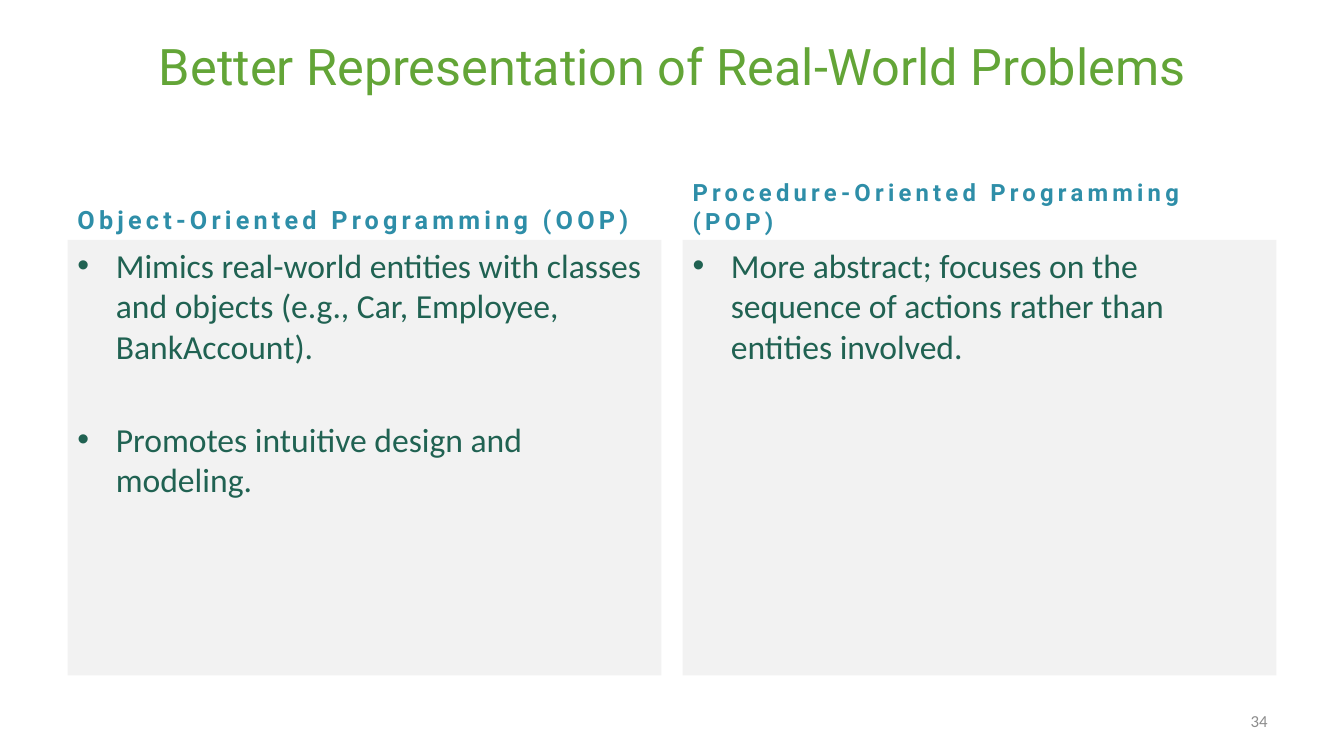
"""Build a slide comparing object-oriented and procedure-oriented programming."""
import pptx
import pptx.util
import pptx.dml.color
import pptx.enum.text
import pptx.enum.shapes
import lxml.etree

Inches, Pt = pptx.util.Inches, pptx.util.Pt
Align, Anchor = pptx.enum.text.PP_ALIGN, pptx.enum.text.MSO_ANCHOR


def tint(code):
    return pptx.dml.color.RGBColor.from_string(code)


def write(*lines, at, size, color, font="Calibri", bold=False, align=Align.LEFT,
          anchor=Anchor.TOP, track=0, bullet=False, gap=0, fill=None):
    place = [Inches(side) for side in at]
    if fill:
        box = slide.shapes.add_shape(pptx.enum.shapes.MSO_SHAPE.RECTANGLE, *place)
        box.shadow.inherit = False
        box.fill.solid()
        box.fill.fore_color.rgb = tint(fill)
        box.line.fill.background()
    else:
        box = slide.shapes.add_textbox(*place)
    frame = box.text_frame
    frame.word_wrap = True
    frame.vertical_anchor = anchor
    for row, line in enumerate(lines):
        para = frame.add_paragraph() if row else frame.paragraphs[0]
        para.alignment = align
        if row:
            para.space_before = Pt(gap)
        if bullet:
            props = para._p.get_or_add_pPr()
            props.set("marL", str(Inches(0.38)))
            props.set("indent", str(Inches(-0.38)))
            for tag, key, value in (("buFont", "typeface", "Arial"), ("buChar", "char", "•")):
                mark = lxml.etree.SubElement(props, pptx.oxml.ns.qn("a:" + tag))
                mark.set(key, value)
        run = para.add_run()
        run.text = line
        run.font.name = font
        run.font.size = Pt(size)
        run.font.bold = bold
        run.font.color.rgb = tint(color)
        if track:
            run._r.get_or_add_rPr().set("spc", str(track * 100))


deck = pptx.Presentation()
deck.slide_width, deck.slide_height = Inches(13.33), Inches(7.5)
slide = deck.slides.add_slide(deck.slide_layouts[6])

left, wide, step = 0.67, 5.89, 6.1
sides = [
    ("Object-Oriented Programming (OOP)", 18,
     ["Mimics real-world entities with classes and objects (e.g., Car, Employee, BankAccount).",
      "Promotes intuitive design and modeling."]),
    ("Procedure-Oriented Programming (POP)", 17,
     ["More abstract; focuses on the sequence of actions rather than entities involved."]),
]

write("Better Representation of Real-World Problems", at=(left, 0.3, 12, 1.25),
      size=36, color="63A537", font="Roboto", align=Align.CENTER)

for col, (head, size, points) in enumerate(sides):
    x = left + col * step
    write(head, at=(x, 1.68, wide, 0.7), size=size, color="2E8EA8", font="Roboto",
          bold=True, anchor=Anchor.BOTTOM, track=3)
    write(*points, at=(x, 2.38, wide, 4.32), size=24, color="206252",
          bullet=True, gap=38, fill="F2F2F2")

write("34", at=(9.56, 6.95, 3.11, 0.4), size=12, color="8C8C8C",
      align=Align.RIGHT, anchor=Anchor.MIDDLE)

deck.save("out.pptx")
